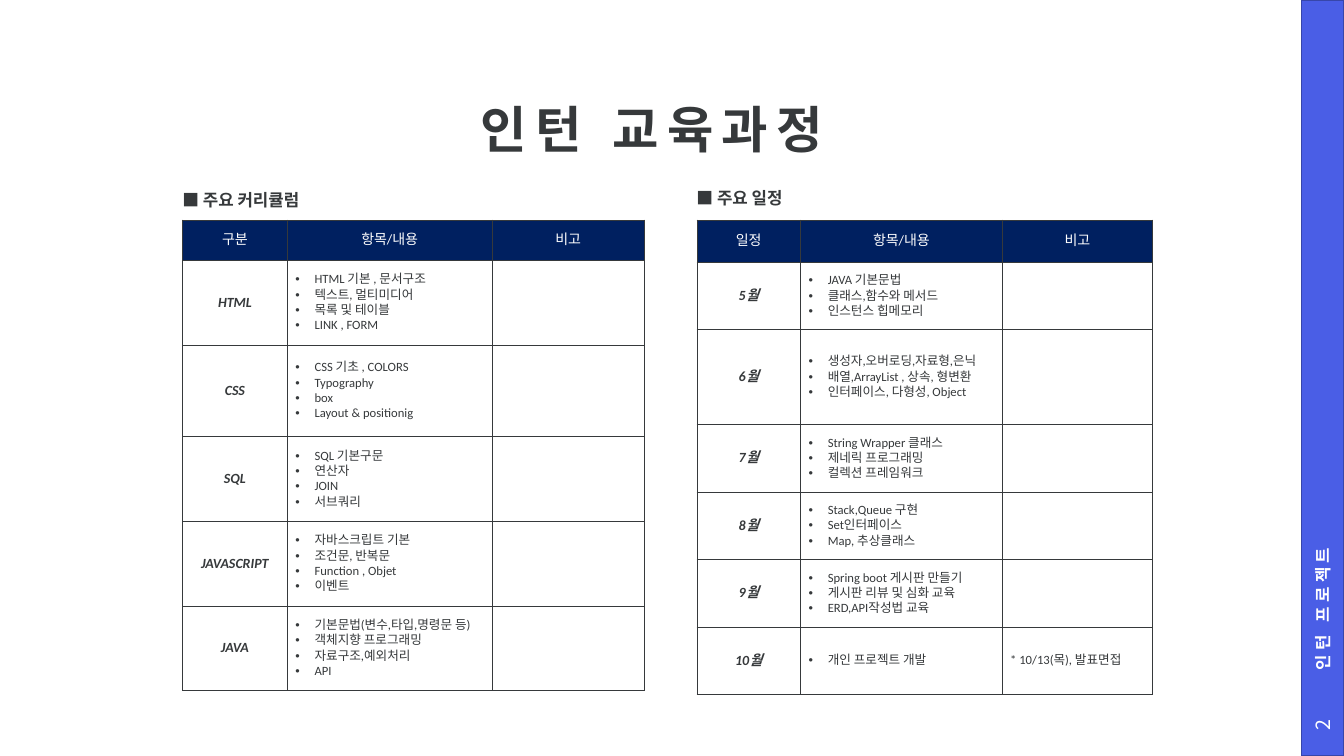
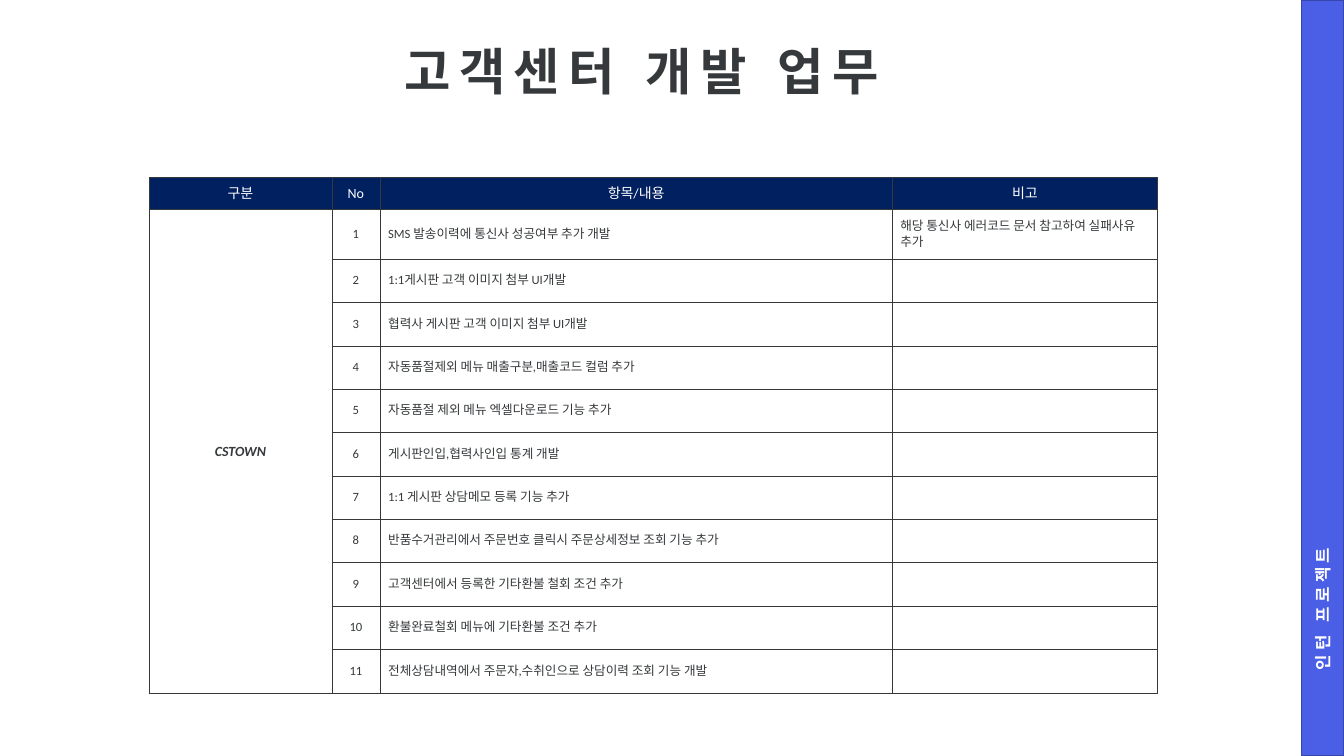
from dataclasses import dataclass
from lxml.etree import SubElement
from pptx import Presentation
from pptx.dml.color import RGBColor
from pptx.enum.lang import MSO_LANGUAGE_ID
from pptx.enum.shapes import MSO_SHAPE
from pptx.enum.text import MSO_ANCHOR, MSO_AUTO_SIZE, PP_ALIGN
from pptx.oxml.ns import qn
from pptx.util import Inches, Pt


@dataclass(frozen=True)
class Theme:
    ink: RGBColor = RGBColor.from_string("36393B")
    white: RGBColor = RGBColor.from_string("FFFFFF")
    navy: RGBColor = RGBColor.from_string("002060")
    band: RGBColor = RGBColor.from_string("4A5EE6")
    band_edge: RGBColor = RGBColor.from_string("3746AA")
    display_font: str = "Noto Sans CJK KR"
    body_font: str = "Calibri"
    title_size: int = 36
    page_size: int = 14
    heading_size: int = 12
    label_size: int = 10
    body_size: int = 9


theme = Theme()


def write_text(frame, lines, size, color, font=theme.body_font, bold=False, italic=False,
               align=PP_ALIGN.LEFT, spacing=0, bullets=False):
    for index, line in enumerate(lines):
        paragraph = frame.add_paragraph() if index else frame.paragraphs[0]
        paragraph.alignment = align
        if bullets:
            properties = paragraph._p.get_or_add_pPr()
            properties.set("marL", str(Inches(0.19)))
            properties.set("indent", str(-Inches(0.19)))
            SubElement(properties, qn("a:buFont"), typeface="Arial")
            SubElement(properties, qn("a:buChar"), char="•")
        run = paragraph.add_run()
        run.text = line
        run.font.size = Pt(size)
        run.font.bold = bold
        run.font.italic = italic
        run.font.color.rgb = color
        run.font.name = font
        run.font.language_id = MSO_LANGUAGE_ID.KOREAN
        run_properties = run._r.get_or_add_rPr()
        SubElement(run_properties, qn("a:ea"), typeface=font)
        if spacing:
            run_properties.set("spc", str(spacing * 100))


def add_grid(slide, left, top, widths, heights, header, rows, column_styles):
    table = slide.shapes.add_table(
        len(heights), len(widths), Inches(left), Inches(top),
        Inches(sum(widths)), Inches(sum(heights))).table
    table.first_row = False
    table.horz_banding = False
    for column, width in zip(table.columns, widths):
        column.width = Inches(width)
    for row, height in zip(table.rows, heights):
        row.height = Inches(height)
    for row_index, entries in enumerate([header, *rows]):
        for column_index, style in enumerate(column_styles):
            cell = table.cell(row_index, column_index)
            cell.vertical_anchor = MSO_ANCHOR.MIDDLE
            cell.margin_left = cell.margin_right = Inches(0.08)
            cell.margin_top = cell.margin_bottom = Inches(0.04)
            for side in ("a:lnL", "a:lnR", "a:lnT", "a:lnB"):
                edge = SubElement(cell._tc.get_or_add_tcPr(), qn(side), w=str(Pt(0.25)))
                edge_fill = SubElement(edge, qn("a:solidFill"))
                SubElement(edge_fill, qn("a:srgbClr"), val=str(theme.ink))
            if row_index == 0:
                cell.fill.solid()
                cell.fill.fore_color.rgb = theme.navy
                style = header_style
            else:
                cell.fill.background()
            entry = entries[column_index] if column_index < len(entries) else ""
            if entry:
                lines = [entry] if isinstance(entry, str) else entry
                write_text(cell.text_frame, lines, **style)
    return table


header_style = dict(size=theme.label_size, color=theme.white, align=PP_ALIGN.CENTER)
label_style = dict(size=theme.label_size, color=theme.ink, bold=True, italic=True,
                   align=PP_ALIGN.CENTER)
note_style = dict(size=theme.body_size, color=theme.ink)
number_style = dict(note_style, align=PP_ALIGN.CENTER)
topics_style = dict(note_style, bullets=True)

deck = Presentation()
deck.slide_width = Inches(13.33)
deck.slide_height = Inches(7.5)
title_only = deck.slide_layouts[5]

slides = []
for heading, left, top in [("인턴 교육과정", 0.93, 0.96), ("고객센터 개발 업무", 0.83, 0.38)]:
    slide = deck.slides.add_slide(title_only)
    slides.append(slide)

    title = slide.shapes.title
    title.left, title.top = Inches(left), Inches(top)
    title.width, title.height = Inches(11.07), Inches(0.71)
    title_frame = title.text_frame
    title_frame.auto_size = MSO_AUTO_SIZE.NONE
    title_frame.word_wrap = True
    title_frame.vertical_anchor = MSO_ANCHOR.MIDDLE
    title_frame.margin_left = title_frame.margin_right = 0
    title_frame.margin_top = title_frame.margin_bottom = 0
    write_text(title_frame, [heading], theme.title_size, theme.ink, theme.display_font,
               bold=True, align=PP_ALIGN.CENTER, spacing=6)
    title_frame.paragraphs[0].line_spacing = 0.9

    project = slide.shapes.add_textbox(Inches(9.68), Inches(3.23), Inches(6.88), Inches(0.42))
    project.rotation = 270
    project.text_frame.word_wrap = True
    project.text_frame.vertical_anchor = MSO_ANCHOR.MIDDLE
    project.text_frame.margin_left = Inches(0.23)
    write_text(project.text_frame, ["인턴 프로젝트"], theme.heading_size, theme.white,
               theme.display_font, bold=True, spacing=3)

training, support = slides

band = training.shapes.add_shape(
    MSO_SHAPE.RECTANGLE, Inches(12.91), 0, Inches(0.42), deck.slide_height)
band.shadow.inherit = False
band.fill.solid()
band.fill.fore_color.rgb = theme.band
band.line.color.rgb = theme.band_edge
band.line.width = Pt(1)
title_only.shapes.element.append(band.element)

page_number = training.shapes.add_textbox(
    Inches(12.81), Inches(6.98), Inches(0.62), Inches(0.42))
page_number.rotation = 270
page_number.text_frame.word_wrap = True
page_number.text_frame.vertical_anchor = MSO_ANCHOR.MIDDLE
write_text(page_number.text_frame, ["2"], theme.page_size, theme.white,
           theme.display_font, align=PP_ALIGN.CENTER)

for section, left, top, width in [("■ 주요 커리큘럼", 1.71, 1.83, 3.45),
                                  ("■ 주요 일정", 6.81, 1.81, 2.77)]:
    caption = training.shapes.add_textbox(Inches(left), Inches(top), Inches(width), Inches(0.3))
    caption.text_frame.word_wrap = True
    caption.text_frame.auto_size = MSO_AUTO_SIZE.SHAPE_TO_FIT_TEXT
    write_text(caption.text_frame, [section], theme.heading_size, theme.ink, bold=True)

curriculum = [
    ("HTML", ["HTML 기본 , 문서구조", "텍스트, 멀티미디어", "목록 및 테이블", "LINK , FORM"]),
    ("CSS", ["CSS 기초 , COLORS", "Typography", "box", "Layout & positionig"]),
    ("SQL", ["SQL 기본구문", "연산자", "JOIN", "서브쿼리"]),
    ("JAVASCRIPT", ["자바스크립트 기본", "조건문, 반복문", "Function , Objet", "이벤트"]),
    ("JAVA", ["기본문법(변수,타입,명령문 등)", "객체지향 프로그래밍", "자료구조,예외처리", "API"]),
]
schedule = [
    ("5월", ["JAVA 기본문법", "클래스,함수와 메서드", "인스턴스 힙메모리"]),
    ("6월", ["생성자,오버로딩,자료형,은닉", "배열,ArrayList , 상속, 형변환",
            "인터페이스, 다형성, Object"]),
    ("7월", ["String Wrapper 클래스", "제네릭 프로그래밍", "컬렉션 프레임워크"]),
    ("8월", ["Stack,Queue 구현", "Set인터페이스", "Map, 추상클래스"]),
    ("9월", ["Spring boot 게시판 만들기", "게시판 리뷰 및 심화 교육", "ERD,API작성법 교육"]),
    ("10월", ["개인 프로젝트 개발"], "* 10/13(목), 발표면접"),
]
training_styles = [label_style, topics_style, note_style]
add_grid(training, 1.81, 2.18, [1.04, 2.03, 1.51], [0.4, 0.84, 0.91, 0.84, 0.84, 0.84],
         ["구분", "항목/내용", "비고"], curriculum, training_styles)
add_grid(training, 6.91, 2.18, [1.03, 2, 1.49], [0.42, 0.67, 0.94] + [0.67] * 4,
         ["일정", "항목/내용", "비고"], schedule, training_styles)

tasks = [
    "SMS 발송이력에 통신사 성공여부 추가 개발",
    "1:1게시판 고객 이미지 첨부 UI개발",
    "협력사 게시판 고객 이미지 첨부 UI개발",
    "자동품절제외 메뉴 매출구분,매출코드 컬럼 추가",
    "자동품절 제외 메뉴 엑셀다운로드 기능 추가",
    "게시판인입,협력사인입 통계 개발",
    "1:1 게시판 상담메모 등록 기능 추가",
    "반품수거관리에서 주문번호 클릭시 주문상세정보 조회 기능 추가",
    "고객센터에서 등록한 기타환불 철회 조건 추가",
    "환불완료철회 메뉴에 기타환불 조건 추가",
    "전체상담내역에서 주문자,수취인으로 상담이력 조회 기능 개발",
]
systems = {1: "CSTOWN"}
remarks = {1: "해당 통신사 에러코드 문서 참고하여 실패사유 추가"}
task_rows = [(systems.get(number, ""), str(number), task, remarks.get(number, ""))
             for number, task in enumerate(tasks, 1)]
task_table = add_grid(support, 1.48, 1.76, [1.81, 0.48, 5.08, 2.63],
                      [0.32, 0.49] + [0.43] * 9 + [0.44],
                      ["구분", "No", "항목/내용", "비고"], task_rows,
                      [label_style, number_style, note_style, note_style])
task_table.cell(1, 0).merge(task_table.cell(len(tasks), 0))

deck.save("out.pptx")
